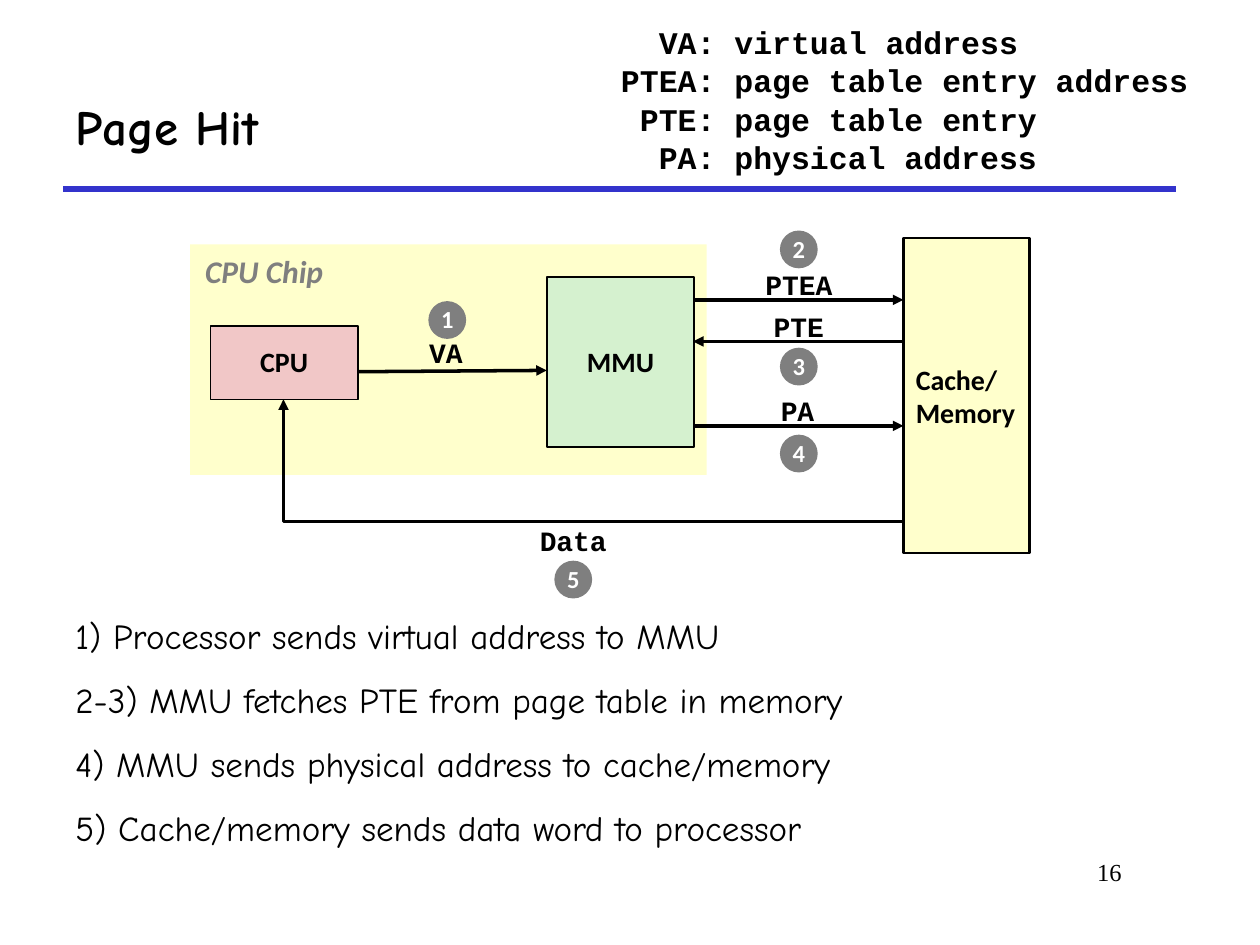
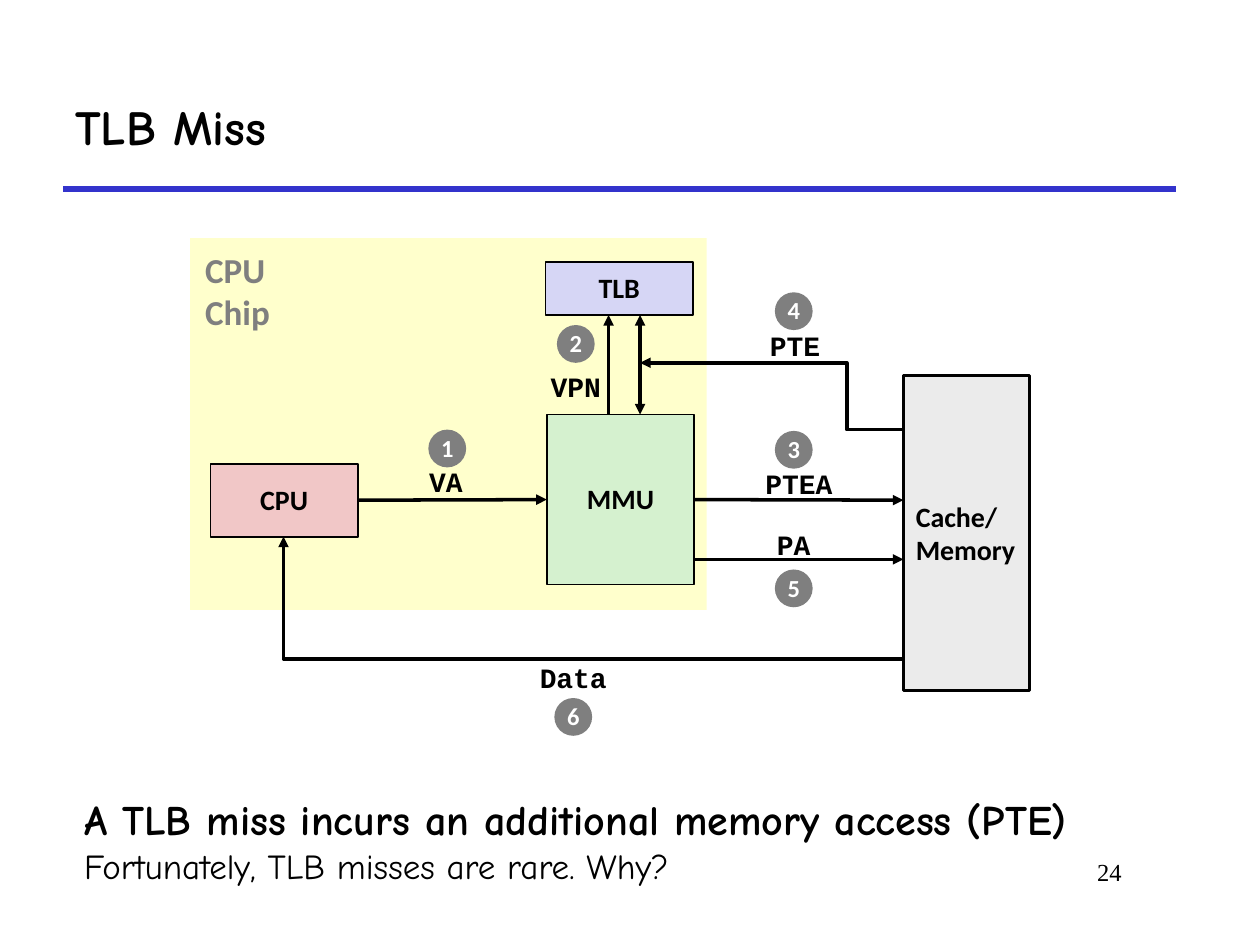
from lxml.etree import SubElement
from pptx import Presentation
from pptx.dml.color import RGBColor
from pptx.enum.shapes import MSO_CONNECTOR as LINK, MSO_SHAPE as SHAPE
from pptx.enum.text import MSO_ANCHOR as ANCHOR, PP_ALIGN as ALIGN
from pptx.oxml.ns import qn
from pptx.util import Inches, Pt

COLORS = {
    "ink": "000000", "white": "FFFFFF", "rule": "3333CC", "badge": "7F7F7F",
    "chip": "FFFFCC", "mmu": "D5F1CF", "cpu": "F1C7C7", "tlb": "D6D6F5", "memory": "EBEBEB",
}
HAND, MONO, SANS, SERIF = "Comic Neue", "Courier New", "Calibri", "Times New Roman"


def put(slide, at, lines, font=SANS, size=16, bold=True, color="ink", align=ALIGN.CENTER,
        anchor=ANCHOR.MIDDLE, wrap=False, preset=None, fill=None, border=0, spacing=None, before=None):
    box = [Inches(n) for n in at]
    if preset is None:
        shape = slide.shapes.add_textbox(*box)
    else:
        shape = slide.shapes.add_shape(preset, *box)
        shape.shadow.inherit = False
        shape.fill.solid()
        shape.fill.fore_color.rgb = RGBColor.from_string(COLORS[fill])
        if border:
            shape.line.color.rgb = RGBColor.from_string(COLORS["ink"])
            shape.line.width = Pt(border)
        else:
            shape.line.fill.background()
    frame = shape.text_frame
    frame.text = "\n".join(lines)
    frame.word_wrap = wrap
    frame.vertical_anchor = anchor
    for paragraph in frame.paragraphs:
        paragraph.alignment = align
        paragraph.line_spacing = spacing
        paragraph.space_before = before
        paragraph.font.name = font
        paragraph.font.size = Pt(size)
        paragraph.font.bold = bold
        paragraph.font.color.rgb = RGBColor.from_string(COLORS[color])
    return shape


def connect(slide, start, end, color="ink", width=2, heads=("tailEnd",), preset="line", bend=None):
    kind = LINK.STRAIGHT if preset == "line" else LINK.ELBOW
    link = slide.shapes.add_connector(kind, *[Inches(n) for n in start + end])
    link.line.color.rgb = RGBColor.from_string(COLORS[color])
    link.line.width = Pt(width)
    properties = link.element.spPr
    geometry = properties.find(qn("a:prstGeom"))
    geometry.set("prst", preset)
    if bend:
        SubElement(geometry.find(qn("a:avLst")), qn("a:gd"), name="adj1", fmla=f"val {bend}")
    for head in heads:
        SubElement(properties.find(qn("a:ln")), qn(f"a:{head}"), type="triangle")
    SubElement(properties, qn("a:effectLst"))
    return link


deck = Presentation()
deck.slide_width, deck.slide_height = Inches(10), Inches(7.5)

# number, label, label centre, label top, badge centre, badge top
TOPICS = [
    dict(title="Page Hit", number="16", drop=0, chip=(1.51, 1.94, 4.1, 1.83), memory="chip",
         chip_label=(1.53, 1.95, 1.14, 0.4), chip_size=18, italic=True,
         signals=[("1", "VA", 3.54, 2.63, 3.55, 2.39), ("2", "PTEA", 6.34, 2.09, 6.34, 1.83),
                  ("3", "PTE", 6.34, 2.42, 6.34, 2.76), ("4", "PA", 6.33, 3.09, 6.34, 3.45),
                  ("5", "Data", 4.55, 4.12, 4.55, 4.45)]),
    dict(title="TLB Miss", number="24", drop=1.09, chip=(1.51, 1.89, 4.1, 2.95), memory="memory",
         chip_label=(1.53, 1.92, 1.25, 0.44), chip_size=20, italic=False,
         signals=[("1", "VA", 3.54, 3.65, 3.55, 3.41), ("2", "VPN", 4.57, 2.9, 4.57, 2.58),
                  ("3", "PTEA", 6.34, 3.67, 6.3, 3.42), ("4", "PTE", 6.31, 2.57, 6.3, 2.32),
                  ("5", "PA", 6.3, 4.15, 6.3, 4.52), ("6", "Data", 4.55, 5.21, 4.55, 5.54)]),
]

stages = []
for topic in TOPICS:
    slide = deck.slides.add_slide(deck.slide_layouts[6])
    drop = topic["drop"]
    connect(slide, (0.5, 1.5), (9.33, 1.5), "rule", 3, heads=())
    put(slide, (7.58, 6.75, 1.42, 0.5), [topic["number"]], SERIF, 14, False,
        align=ALIGN.RIGHT, anchor=ANCHOR.TOP, wrap=True)
    put(slide, (0.5, 0.5, 8.83, 1), [topic["title"]], HAND, 28, align=ALIGN.LEFT, wrap=True)

    put(slide, topic["chip"], [], preset=SHAPE.RECTANGLE, fill="chip")
    chip_label = put(slide, topic["chip_label"], ["CPU Chip"], size=topic["chip_size"], color="badge",
                     align=ALIGN.LEFT, anchor=ANCHOR.TOP)
    chip_label.text_frame.paragraphs[0].font.italic = topic["italic"]
    mmu = put(slide, (4.34, 2.2 + drop, 1.17, 1.35), ["MMU"], preset=SHAPE.RECTANGLE,
              fill="mmu", border=1, spacing=0.98)
    cpu = put(slide, (1.67, 2.59 + drop, 1.17, 0.58), ["CPU"], preset=SHAPE.RECTANGLE,
              fill="cpu", border=1, spacing=0.98)
    put(slide, (7.17, 1.89 + drop, 1, 2.5), ["Cache/", "Memory"], align=ALIGN.LEFT,
        preset=SHAPE.RECTANGLE, fill=topic["memory"], border=1.5)
    connect(slide, (7.17, 4.14 + drop), (2.25, 3.17 + drop), preset="bentConnector2")

    for number, label, label_x, label_y, badge_x, badge_y in topic["signals"]:
        width = 0.2 + 0.133 * len(label)
        put(slide, (label_x - width / 2, label_y, width, 0.36), [label], MONO, spacing=0.98)
        put(slide, (badge_x - 0.15, badge_y, 0.3, 0.3), [number], size=14, color="white",
            preset=SHAPE.OVAL, fill="badge", spacing=0.98)
    stages.append((slide, cpu, mmu))

page_hit = stages[0][0]
connect(page_hit, (2.84, 2.95), (4.34, 2.94))
connect(page_hit, (5.5, 2.38), (7.17, 2.38))
connect(page_hit, (7.17, 2.71), (5.5, 2.71))
connect(page_hit, (5.5, 3.38), (7.17, 3.38))

GLOSSARY = [("VA", "virtual address"), ("PTEA", "page table entry address"),
            ("PTE", "page table entry"), ("PA", "physical address")]
glossary = put(page_hit, (4.83, 0.26, 4.99, 1.17), [f"{term}: {meaning}" for term, meaning in GLOSSARY],
               MONO, 18, align=ALIGN.LEFT, anchor=ANCHOR.TOP, wrap=True, spacing=0.5, before=Pt(11.2))
for paragraph, (term, meaning) in zip(glossary.text_frame.paragraphs, GLOSSARY):
    paragraph._p.get_or_add_pPr().set("marL", str(Inches(0.15 * (4 - len(term)))))

put(page_hit, (0.5, 4.83, 7.42, 2.25),
    ["1) Processor sends virtual address to MMU", "2-3) MMU fetches PTE from page table in memory",
     "4) MMU sends physical address to cache/memory", "5) Cache/memory sends data word to processor"],
    HAND, 20, False, align=ALIGN.LEFT, anchor=ANCHOR.TOP, wrap=True, before=Pt(12.5))

tlb_miss, cpu, mmu = stages[1]
put(tlb_miss, (4.33, 2.08, 1.17, 0.42), ["TLB"], preset=SHAPE.RECTANGLE, fill="tlb", border=1, spacing=0.98)
va = connect(tlb_miss, (2.84, 3.97), (4.34, 3.97))
va.begin_connect(cpu, 3)
va.end_connect(mmu, 1)
ptea = connect(tlb_miss, (5.5, 3.97), (7.17, 3.97))
ptea.begin_connect(mmu, 3)
connect(tlb_miss, (5.5, 4.44), (7.17, 4.44))
connect(tlb_miss, (4.83, 3.29), (4.83, 2.5))
connect(tlb_miss, (5.08, 2.5), (5.08, 3.29), heads=("headEnd", "tailEnd"))
connect(tlb_miss, (7.17, 3.41), (5.08, 2.88), preset="bentConnector3", bend=21500)

takeaway = put(tlb_miss, (0.57, 6.25, 9.18, 1), ["A TLB miss incurs an additional memory access (PTE)"],
               HAND, 24, align=ALIGN.LEFT, anchor=ANCHOR.TOP, wrap=True, before=Pt(5))
paragraph = takeaway.text_frame.paragraphs[0]
paragraph.add_line_break()
question = paragraph.add_run()
question.text = "Fortunately, TLB misses are rare. Why?"
question.font.size = Pt(20)
question.font.bold = False

deck.save("out.pptx")
